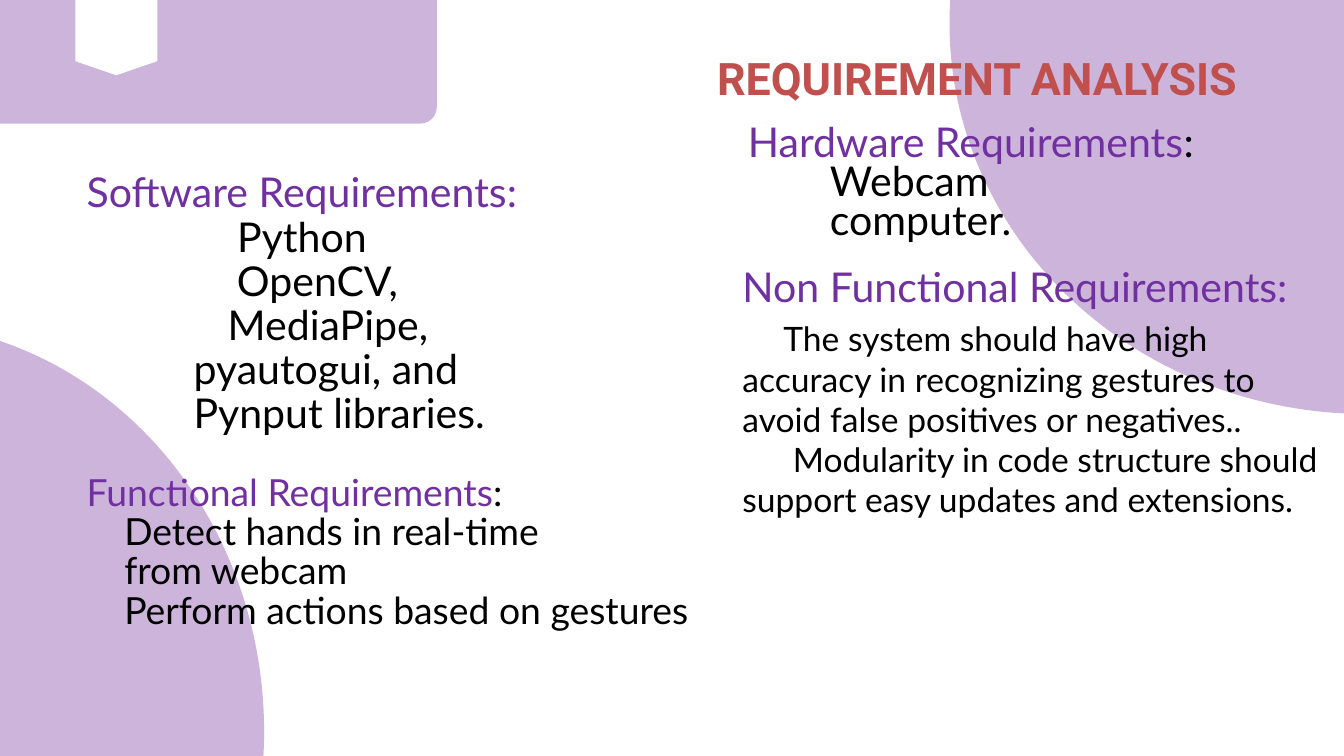
"""Build the requirement analysis slide."""
import pptx
import pptx.dml.color
import pptx.enum.shapes
import pptx.enum.text
import pptx.util

Inches = pptx.util.Inches
Pt = pptx.util.Pt
SHAPE = pptx.enum.shapes.MSO_SHAPE
ALIGN = pptx.enum.text.PP_ALIGN

THEME = {
    "lilac": "CDB4DB", "white": "FFFFFF", "red": "C0504D",
    "purple": "7030A0", "black": "000000",
    "title_font": "Roboto", "body_font": "Lato",
    "title": 48, "large": 44, "medium": 40, "small": 36,
}

BACKDROP = [
    (SHAPE.OVAL, (-7.25, 4.8, 11.18, 12.17)),
    (SHAPE.OVAL, (14.13, -5.46, 12.4, 11.62)),
    (SHAPE.ROUNDED_RECTANGLE, (-0.83, -0.59, 7.33, 2.43)),
]
RIBBON = [(2.34, -0.43), (2.34, 0.91), (1.73, 1.12), (1.12, 0.91), (1.12, -0.43)]


def line(*runs, size="large", align=ALIGN.JUSTIFY, left=0, first=0, before=0):
    return {"runs": runs, "size": size, "align": align,
            "left": left, "first": first, "before": before}


def item(text, **options):
    return line((text, "black"), **options)


BLOCKS = [
    {"at": (10.67, -0.12, 9.86, 1.48), "inset": 0, "spacing": 120.7, "lines": [
        line(("REQUIREMENT ANALYSIS", "red"), size="title"),
    ]},
    {"at": (11.13, 1.88, 9.86, 1.78), "inset": 0, "spacing": 42.1, "lines": [
        line(("Hardware Requirements", "purple"), (":", "black")),
        item("Webcam", left=1.22),
        item("computer.", left=1.22),
    ]},
    {"at": (0.28, 2.56, 8.43, 4.61), "inset": 0, "spacing": 47.3, "lines": [
        line(("Software Requirements:", "purple"), align=ALIGN.CENTER),
        item("Python", align=ALIGN.CENTER),
        item("OpenCV,", align=ALIGN.CENTER, left=0.46),
        item("MediaPipe,", align=ALIGN.CENTER, left=0.77),
        item("pyautogui, and", align=ALIGN.LEFT, left=2.6),
        item("Pynput libraries.", align=ALIGN.LEFT, left=2.6),
    ]},
    {"at": (10.95, 3.84, 8.86, 5.35), "inset": 0.1, "spacing": None, "lines": [
        line(("Non Functional Requirements:", "purple"), align=ALIGN.LEFT),
        item("The system should have high accuracy in recognizing gestures "
             "to avoid false positives or negatives..",
             size="small", align=ALIGN.LEFT, first=0.61, before=8),
        item("Modularity in code structure should support easy updates "
             "and extensions.", size="small", align=ALIGN.LEFT, first=0.75),
    ]},
    {"at": (0.74, 7.06, 13.09, 2.36), "inset": 0, "spacing": 42.1, "lines": [
        line(("Functional Requirements", "purple"), (":", "black"),
             size="medium", left=0.55),
        item("Detect hands in real-time", size="medium", left=1.11),
        item("from webcam", size="medium", left=1.11),
        item("Perform actions based on gestures", size="medium", left=1.11),
    ]},
]


def color(name):
    return pptx.dml.color.RGBColor.from_string(THEME[name])


def paint(s, name):
    s.shadow.inherit = False
    s.fill.solid()
    s.fill.fore_color.rgb = color(name)
    s.line.fill.background()


def draw_backdrop(slide):
    for kind, at in BACKDROP:
        s = slide.shapes.add_shape(kind, *map(Inches, at))
        if kind == SHAPE.ROUNDED_RECTANGLE:
            s.adjustments[0] = 0.1
        paint(s, "lilac")
    points = [(Inches(x), Inches(y)) for x, y in RIBBON]
    builder = slide.shapes.build_freeform(*points[0])
    builder.add_line_segments(points[1:], close=True)
    paint(builder.convert_to_shape(), "white")


def write_line(p, content, spacing):
    p.alignment = content["align"]
    if spacing:
        p.line_spacing = Pt(spacing)
    if content["before"]:
        p.space_before = Pt(content["before"])
    pPr = p._p.get_or_add_pPr()
    pPr.set("marL", str(Inches(content["left"])))
    pPr.set("indent", str(Inches(content["first"])))
    is_title = content["size"] == "title"
    for text, name in content["runs"]:
        r = p.add_run()
        r.text = text
        r.font.name = THEME["title_font" if is_title else "body_font"]
        r.font.size = Pt(THEME[content["size"]])
        r.font.bold = is_title
        r.font.color.rgb = color(name)


def write_block(slide, block):
    tf = slide.shapes.add_textbox(*map(Inches, block["at"])).text_frame
    tf.word_wrap = True
    tf.margin_left = tf.margin_right = Inches(block["inset"])
    tf.margin_top = tf.margin_bottom = Inches(block["inset"] / 2)
    for i, content in enumerate(block["lines"]):
        p = tf.add_paragraph() if i else tf.paragraphs[0]
        write_line(p, content, block["spacing"])


def main():
    prs = pptx.Presentation()
    prs.slide_width, prs.slide_height = Inches(20), Inches(11.25)
    slide = prs.slides.add_slide(prs.slide_layouts[6])
    draw_backdrop(slide)
    for block in BLOCKS:
        write_block(slide, block)
    prs.save("out.pptx")


if __name__ == "__main__":
    main()
